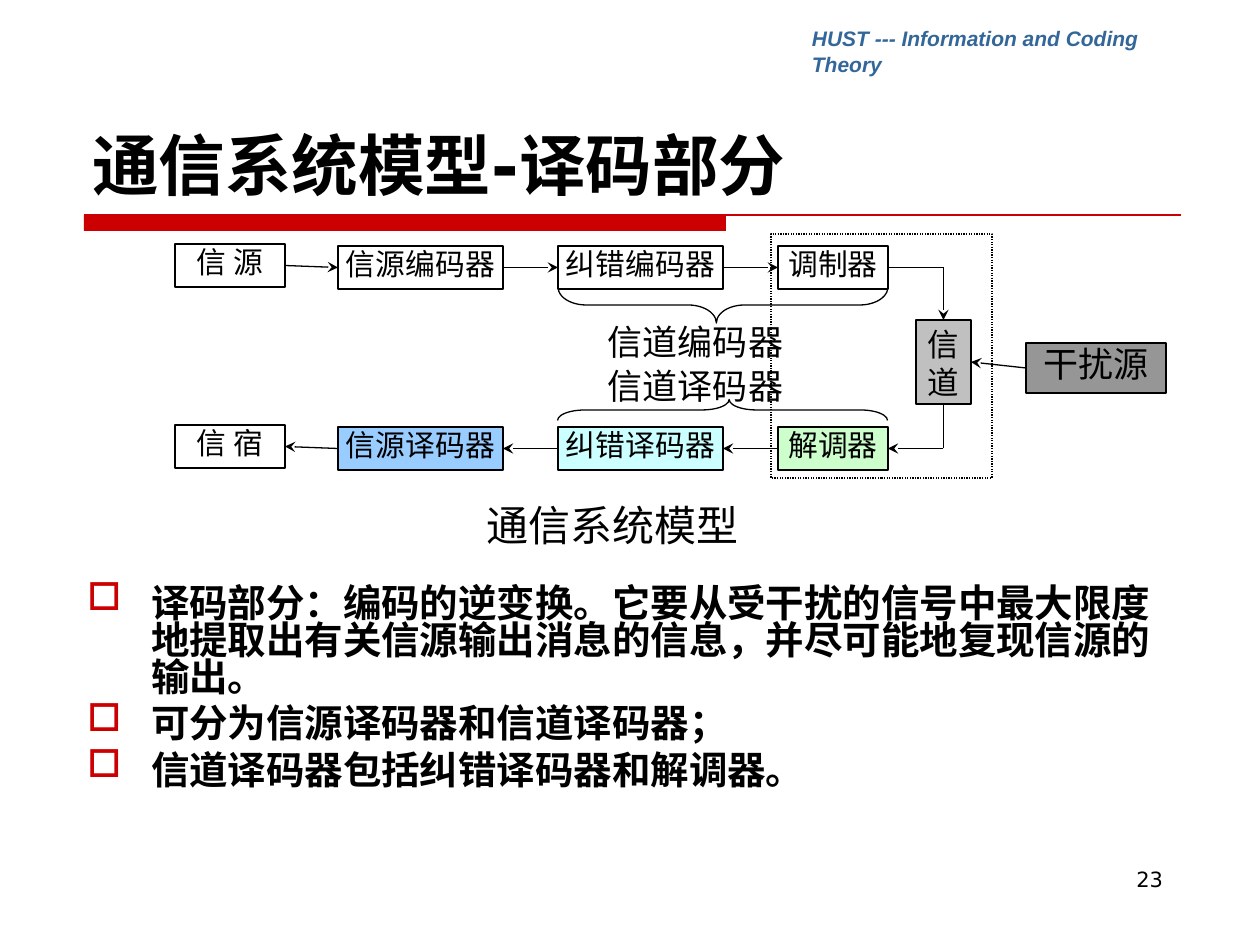
from lxml import etree
from pptx import Presentation
from pptx.dml.color import RGBColor
from pptx.enum.dml import MSO_LINE
from pptx.enum.shapes import MSO_CONNECTOR, MSO_SHAPE
from pptx.enum.text import MSO_ANCHOR, PP_ALIGN
from pptx.oxml.ns import qn
from pptx.util import Pt

PX = 914400 / 126
RECT, BRACE = MSO_SHAPE.RECTANGLE, MSO_SHAPE.LEFT_BRACE
STRAIGHT = MSO_CONNECTOR.STRAIGHT
DOTTED = MSO_LINE.ROUND_DOT
TOP, BOTTOM = MSO_ANCHOR.TOP, MSO_ANCHOR.BOTTOM
LEFT, CENTER, RIGHT = PP_ALIGN.LEFT, PP_ALIGN.CENTER, PP_ALIGN.RIGHT
COLORS = {
    "black": "000000", "white": "FFFFFF", "red": "CC0000", "header": "336699",
    "silver": "C0C0C0", "gray": "969696", "blue": "99CCFF",
    "cyan": "CCFFFF", "green": "CCFFCC",
}
RGB = {name: RGBColor.from_string(value) for name, value in COLORS.items()}

prs = Presentation()
prs.slide_width, prs.slide_height = int(1260 * PX), int(945 * PX)
slide = prs.slides.add_slide(prs.slide_layouts[6])
shapes = slide.shapes


def write(text, box, shape=None, size=17, font="Times New Roman", color="black",
          bold=False, italic=False, align=CENTER, anchor=TOP, insets=(5, 0, 5, 2),
          wrap=True, bullet=None, spacing=None, before=0):
    holder = shape or shapes.add_textbox(*[int(v * PX) for v in box])
    frame = holder.text_frame
    frame.word_wrap = wrap
    frame.vertical_anchor = anchor
    (frame.margin_left, frame.margin_top,
     frame.margin_right, frame.margin_bottom) = [int(v * PX) for v in insets]
    for i, line in enumerate(text.split("\n")):
        paragraph = frame.paragraphs[0] if i == 0 else frame.add_paragraph()
        paragraph.alignment = align
        if spacing:
            paragraph.line_spacing = spacing
        if before and i:
            paragraph.space_before = Pt(before)
        if bullet:
            props = paragraph._p.get_or_add_pPr()
            props.set("marL", str(int(64 * PX)))
            props.set("indent", str(int(-64 * PX)))
            tint = etree.SubElement(props, qn("a:buClr"))
            etree.SubElement(tint, qn("a:srgbClr")).set("val", COLORS["red"])
            etree.SubElement(props, qn("a:buChar")).set("char", bullet)
        run = paragraph.add_run()
        run.text = line
        run.font.size = Pt(size)
        run.font.name = font
        run.font.bold = bold
        run.font.italic = italic
        run.font.color.rgb = RGB[color]


def link(start, end, color="black", arrow=True, source=None, target=None):
    line = shapes.add_connector(STRAIGHT, *[int(v * PX) for v in start + end])
    if source:
        line.begin_connect(*source)
    if target:
        line.end_connect(*target)
    line.line.color.rgb = RGB[color]
    line.line.width = Pt(0.75)
    if arrow:
        tail = etree.SubElement(line.line._get_or_add_ln(), qn("a:tailEnd"))
        tail.set("type", "stealth")
    etree.SubElement(line._element.spPr, qn("a:effectLst"))


title_bar = shapes.add_shape(RECT, *[int(v * PX) for v in (84, 215, 642, 16)])
title_bar.shadow.inherit = False
title_bar.fill.solid()
title_bar.fill.fore_color.rgb = RGB["red"]
title_bar.line.fill.background()
link((84, 215), (1181, 215), color="red", arrow=False)

PLAIN = (13, 6, 13, 6)
write("HUST --- Information and Coding Theory", (799, 20, 427, 38), size=12, font="Arial",
      color="header", bold=True, italic=True, align=LEFT, insets=PLAIN, wrap=False)
write("23", (903, 861, 273, 66), size=12, font="DejaVu Sans", align=RIGHT, insets=PLAIN)
write("通信系统模型-译码部分", (79, 42, 1103, 168), size=38, font="DejaVu Sans",
      bold=True, align=LEFT, anchor=BOTTOM, insets=PLAIN)
write("译码部分：编码的逆变换。它要从受干扰的信号中最大限度地提取出有关信源输出消息的信息，"
      "并尽可能地复现信源的输出。\n可分为信源译码器和信道译码器；\n信道译码器包括纠错译码器和解调器。",
      (74, 582, 1103, 228), size=22, font="DejaVu Sans", bold=True, align=LEFT,
      insets=PLAIN, bullet="□", spacing=0.8, before=5.5)

columns = [(175, 244, 110), (338, 246, 165), (558, 246, 165), (778, 246, 110)]
encoding = [("信 源", "white"), ("信源编码器", None), ("纠错编码器", None), ("调制器", None)]
decoding = [("信 宿", "white"), ("信源译码器", "blue"), ("纠错译码器", "cyan"), ("解调器", "green")]
blocks = [
    (text, fill, (x, y + drop, width, 43), 17, (5, 0, 5, 2))
    for drop, row in ((0, encoding), (181, decoding))
    for (text, fill), (x, y, width) in zip(row, columns)
]
blocks += [
    ("信\n道", "silver", (916, 320, 55, 84), 18, (5, 5, 5, 2)),
    ("干扰源", "gray", (1026, 343, 140, 50), 20, (5, 0, 5, 2)),
]
nodes = []
for text, fill, box, size, insets in blocks:
    node = shapes.add_shape(RECT, *[int(v * PX) for v in box])
    node.shadow.inherit = False
    if fill:
        node.fill.solid()
        node.fill.fore_color.rgb = RGB[fill]
    else:
        node.fill.background()
    node.line.color.rgb = RGB["black"]
    node.line.width = Pt(0.75)
    write(text, box, shape=node, size=size, insets=insets)
    nodes.append(node)

encoders, decoders, (channel, noise) = nodes[:4], nodes[4:8], nodes[8:]
for left, right in zip(encoders, encoders[1:]):
    link((0, 0), (0, 0), source=(left, 3), target=(right, 1))
for left, right in zip(decoders, decoders[1:]):
    link((0, 0), (0, 0), source=(right, 1), target=(left, 3))
link((0, 0), (0, 0), source=(noise, 1), target=(channel, 3))

upper_turn, lower_turn = (943.5, 267.5), (943.5, 448.5)
link((888, 267), upper_turn, arrow=False, source=(encoders[-1], 3))
link(upper_turn, (943, 320), target=(channel, 0))
link((943, 404), lower_turn, arrow=False, source=(channel, 2))
link(lower_turn, (888, 448), target=(decoders[-1], 3))

for text, box, size in [("信道编码器", (572, 320, 247, 43), 20),
                        ("信道译码器", (572, 364, 247, 43), 20),
                        ("通信系统模型", (365, 500, 495, 43), 24)]:
    write(text, box, size=size)

for box, turn, curl in [((705, 140, 36, 330), 270, 0.78), ((712, 245, 21, 330), 90, 1.3)]:
    brace = shapes.add_shape(BRACE, *[int(v * PX) for v in box])
    brace.rotation = turn
    brace.adjustments[0], brace.adjustments[1] = curl, 0.48
    brace.shadow.inherit = False
    brace.fill.background()
    brace.line.color.rgb = RGB["black"]
    brace.line.width = Pt(0.75)

channel_frame = shapes.add_shape(RECT, *[int(v * PX) for v in (771, 234, 221, 244)])
channel_frame.shadow.inherit = False
channel_frame.fill.background()
channel_frame.line.color.rgb = RGB["black"]
channel_frame.line.width = Pt(0.75)
channel_frame.line.dash_style = DOTTED

prs.save("out.pptx")
